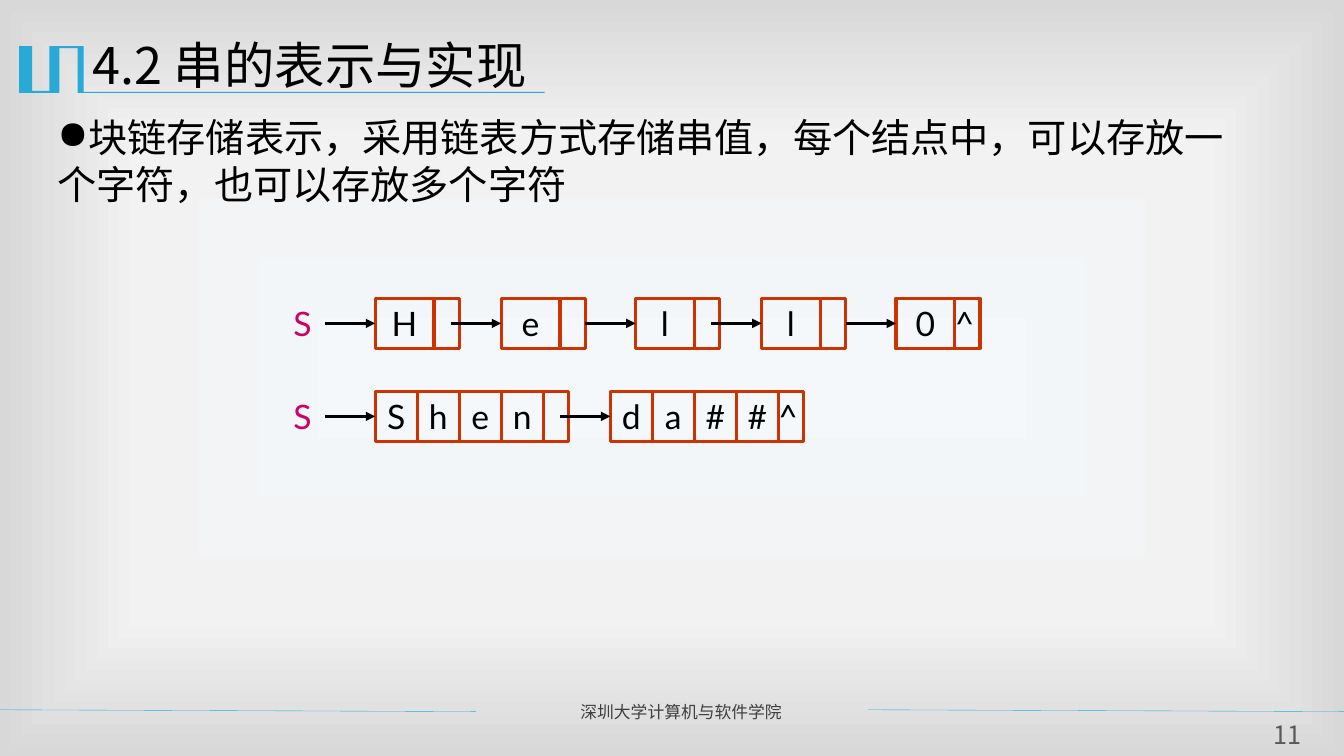
import pptx
import pptx.dml.color
import pptx.enum.shapes
import pptx.enum.text
import pptx.oxml
import pptx.oxml.ns
import pptx.util
from lxml import etree

Pt = pptx.util.Pt
ALIGN = pptx.enum.text.PP_ALIGN
ANCHOR = pptx.enum.text.MSO_ANCHOR
CJK = "Noto Sans CJK SC"
LATO = "Lato"
BLACK = "000000"
BLUE = "28A9D6"
CELL_HEIGHT = 36
POINTER_WIDTH = 18
ARROW_LENGTH = 36
DRAWING = 'xmlns:a="http://schemas.openxmlformats.org/drawingml/2006/main"'
PRESENTATION = 'xmlns:p="http://schemas.openxmlformats.org/presentationml/2006/main"'


def color(hex_string):
    return pptx.dml.color.RGBColor.from_string(hex_string)


def add_element(parent, tag, **attributes):
    return etree.SubElement(parent, pptx.oxml.ns.qn(tag), attributes)


def set_background(slide, stops):
    stop_list = "".join(
        f'<a:gs pos="{position * 1000}"><a:srgbClr val="{value}"/></a:gs>' for position, value in stops
    )
    background = pptx.oxml.parse_xml(
        f'<p:bg {PRESENTATION} {DRAWING}><p:bgPr><a:gradFill><a:gsLst>{stop_list}</a:gsLst>'
        '<a:path path="rect"><a:fillToRect l="50000" t="50000" r="50000" b="50000"/></a:path>'
        '</a:gradFill><a:effectLst/></p:bgPr></p:bg>'
    )
    slide.element.cSld.insert(0, background)


def write_text(shape, text, size=24, font=LATO, fill=BLACK, align=ALIGN.LEFT,
               anchor=ANCHOR.MIDDLE, insets=(7.2, 3.6, 7.2, 3.6), line_height=None, bullet=None):
    frame = shape.text_frame
    frame.word_wrap = True
    frame.auto_size = pptx.enum.text.MSO_AUTO_SIZE.NONE
    frame.vertical_anchor = anchor
    frame.margin_left, frame.margin_top, frame.margin_right, frame.margin_bottom = map(Pt, insets)
    paragraph = frame.paragraphs[0]
    paragraph.alignment = align
    if line_height:
        paragraph.line_spacing = Pt(line_height)
    if bullet:
        properties = paragraph._p.get_or_add_pPr()
        properties.set("marL", "0")
        properties.set("indent", "0")
        add_element(properties, "a:buChar", char=bullet)
    run = paragraph.add_run()
    run.text = text
    run.font.size = Pt(size)
    run.font.name = font
    run.font.color.rgb = color(fill)
    add_element(run._r.get_or_add_rPr(), "a:ea", typeface=font)


def add_text(slide, left, top, width, height, text, **text_format):
    box = slide.shapes.add_textbox(Pt(left), Pt(top), Pt(width), Pt(height))
    write_text(box, text, **text_format)


def add_line(slide, start, end, fill, width, arrow=False):
    line = slide.shapes.add_connector(
        pptx.enum.shapes.MSO_CONNECTOR.STRAIGHT, *map(Pt, (*start, *end))
    )
    line.line.color.rgb = color(fill)
    line.line.width = Pt(width)
    if arrow:
        add_element(line.line._get_or_add_ln(), "a:tailEnd", type="triangle")
    add_element(line._element.spPr, "a:effectLst")
    return line


def add_cell(slide, left, top, width, text="", **text_format):
    cell = slide.shapes.add_shape(
        pptx.enum.shapes.MSO_SHAPE.RECTANGLE, Pt(left), Pt(top), Pt(width), Pt(CELL_HEIGHT)
    )
    cell.shadow.inherit = False
    cell.fill.background()
    cell.line.color.rgb = color("CC3300")
    cell.line.width = Pt(2.25)
    if text:
        write_text(cell, text, **text_format)
    return cell


def add_linked_list(slide, top, cell_width, nodes):
    middle = top + CELL_HEIGHT / 2
    add_text(slide, 202.5, top, 36, CELL_HEIGHT, "S", fill="CC0066")
    previous_pointer, previous_right = None, None
    for index, (left, letters) in enumerate(nodes):
        cells = [
            add_cell(slide, left + position * cell_width, top, cell_width, letter, align=ALIGN.CENTER)
            for position, letter in enumerate(letters)
        ]
        pointer_left = left + len(letters) * cell_width
        is_last = index == len(nodes) - 1
        pointer = add_cell(slide, pointer_left, top, POINTER_WIDTH,
                           "^" if is_last else "", insets=(0, 3.6, 0, 3.6))
        arrow_start = left - ARROW_LENGTH
        arrow = add_line(slide, (arrow_start, middle), (left, middle), BLACK, 2.25, arrow=True)
        if previous_right == arrow_start:
            arrow.begin_connect(previous_pointer, 3)
        arrow.end_connect(cells[0], 1)
        previous_pointer, previous_right = pointer, pointer_left + POINTER_WIDTH


def add_title_ornament(slide):
    outline = [(59, 33), (59.8, 33), (59.8, 65.6), (389, 65.6), (389, 66.4), (55.5, 66.4),
               (55.5, 34.5), (42.5, 34.5), (42.5, 66.4), (13.7, 66.4), (13.7, 33),
               (23, 33), (23, 65), (35.3, 65), (35.3, 33)]
    points = [(Pt(x), Pt(y)) for x, y in outline]
    builder = slide.shapes.build_freeform(*points[0])
    builder.add_line_segments(points[1:], close=True)
    ornament = builder.convert_to_shape()
    ornament.shadow.inherit = False
    ornament.fill.solid()
    ornament.fill.fore_color.rgb = color(BLUE)
    ornament.line.fill.background()


def add_title(slide, text):
    title = slide.shapes.title
    title.left, title.top, title.width, title.height = map(Pt, (59, 17.3, 864, 62.6))
    write_text(title, text, size=36, font=CJK, anchor=ANCHOR.TOP,
               insets=(7.2, 7.2, 7.2, 3.6), line_height=43.2)


def add_footer(slide):
    for left in (-0.5, 620):
        add_line(slide, (left, 507), (left + 340.5, 508.3), BLUE, 0.25)
    add_text(slide, 407.5, 497.5, 205, 21.6, "深圳大学计算机与软件学院",
             size=12, font=CJK, fill="3F3F3F", align=ALIGN.JUSTIFY)
    add_text(slide, 898.6, 513.4, 42.5, 22.3, "11", size=18, font=CJK, fill="595959",
             align=ALIGN.CENTER, insets=(0, 0, 0, 0))


def main():
    presentation = pptx.Presentation()
    presentation.slide_width, presentation.slide_height = Pt(960), Pt(540)
    slide = presentation.slides.add_slide(presentation.slide_layouts[5])
    set_background(slide, [(0, "F4F8FB"), (63, "F2F2F2"), (100, "D8D8D8")])
    add_title_ornament(slide)
    add_footer(slide)
    add_text(slide, 34, 75, 873.4, 405.4,
             "块链存储表示，采用链表方式存储串值，每个结点中，可以存放一个字符，也可以存放多个字符",
             size=28, font=CJK, anchor=ANCHOR.TOP, insets=(7.2, 6, 7.2, 3.6),
             line_height=33.6, bullet="●")
    add_title(slide, "4.2 串的表示与实现")
    add_linked_list(slide, 213, 42, [(268, "H"), (358, "e"), (454, "l"), (544, "l"), (640, "0")])
    add_linked_list(slide, 279.4, 30, [(268, "Shen"), (436, "da##")])
    presentation.save("out.pptx")


if __name__ == "__main__":
    main()
